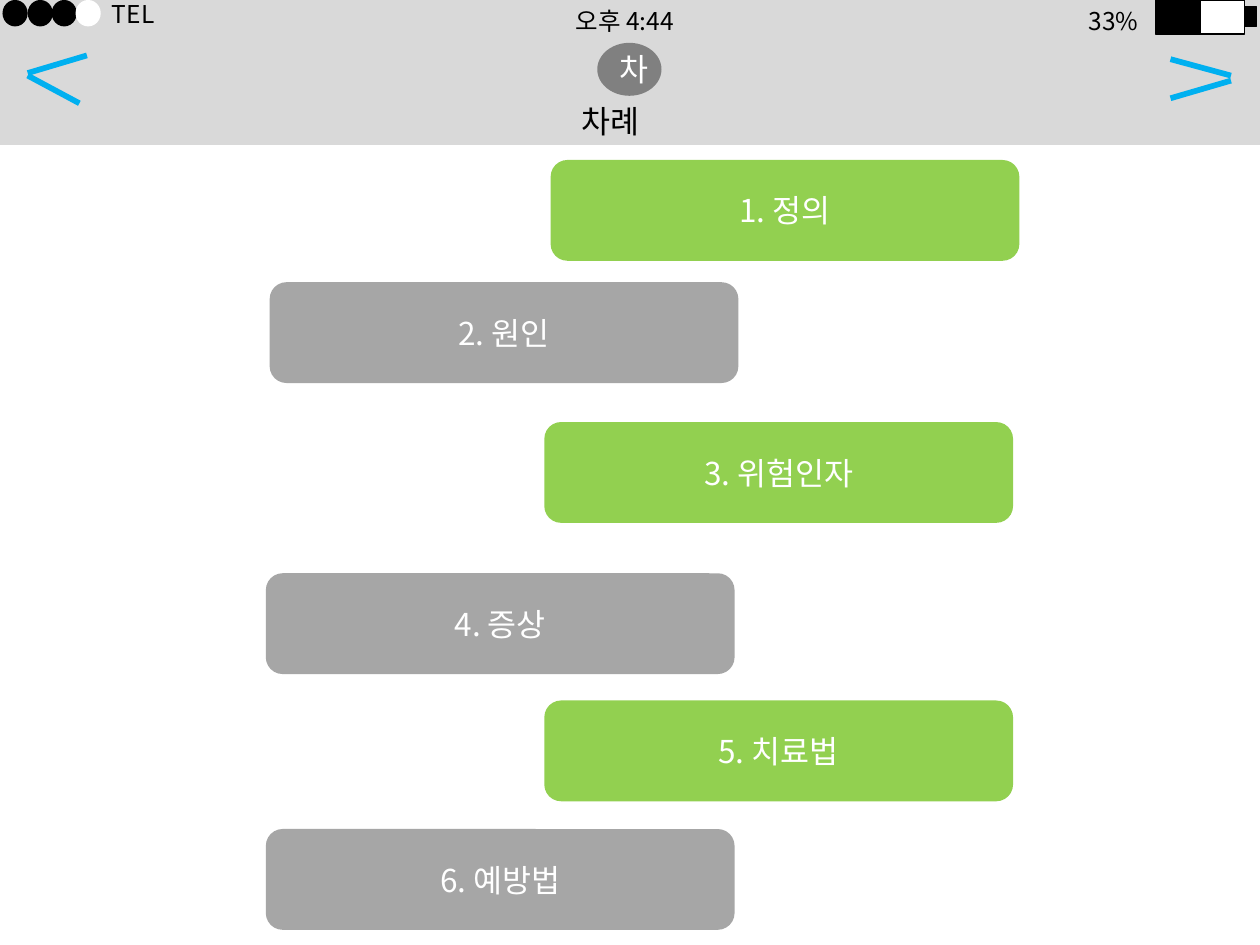
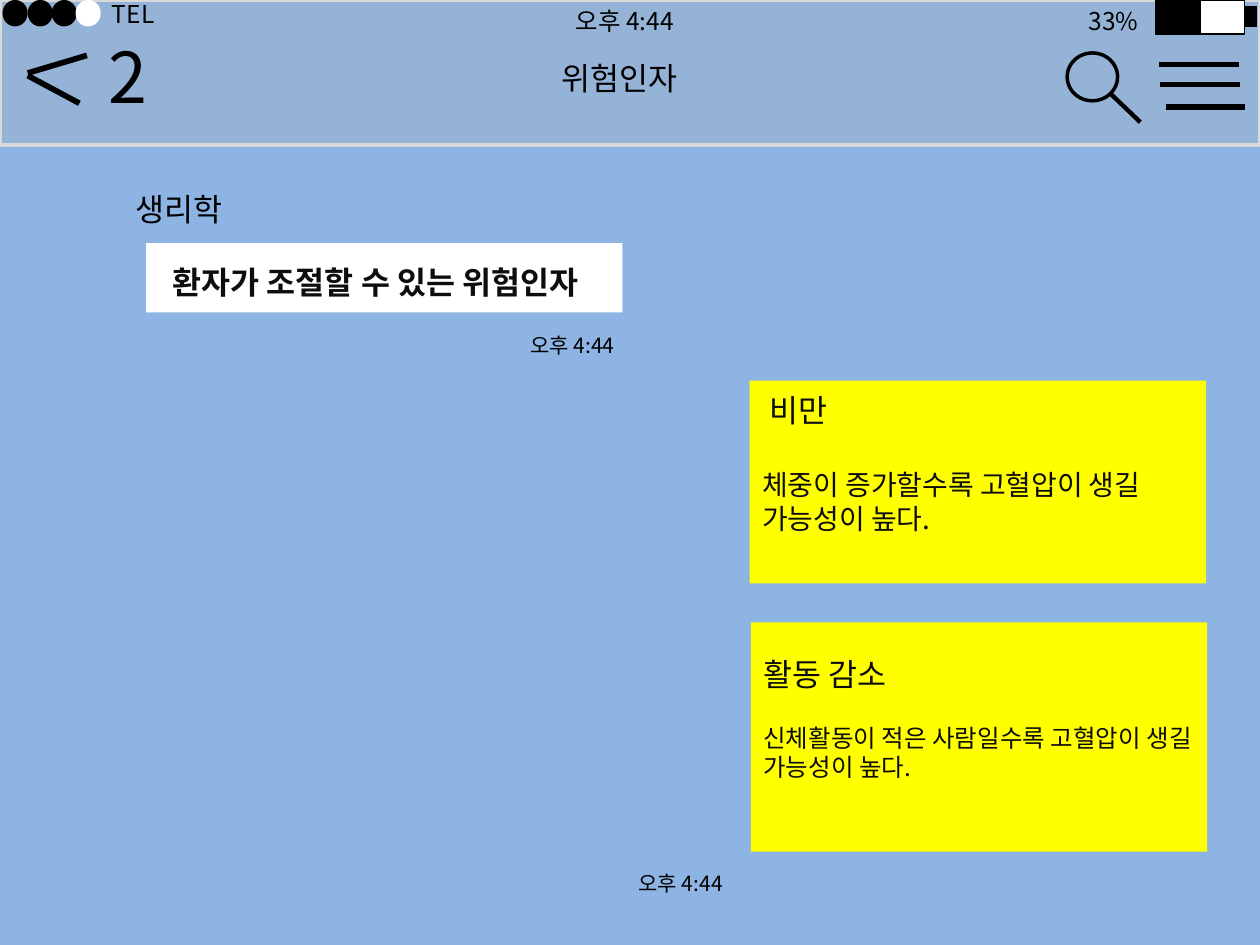
from dataclasses import dataclass

from lxml.etree import SubElement
from pptx import Presentation
from pptx.dml.color import RGBColor
from pptx.enum.shapes import MSO_CONNECTOR, MSO_SHAPE
from pptx.enum.text import MSO_ANCHOR, PP_ALIGN
from pptx.oxml.ns import qn
from pptx.util import Emu, Pt

EMU_PER_PX = 9144  # 100 px to the inch


@dataclass(frozen=True)
class Theme:
    font: str = "Noto Sans CJK KR"
    black: str = "000000"
    white: str = "FFFFFF"
    ink: str = "0D0D0D"
    light_gray: str = "D9D9D9"
    gray: str = "A6A6A6"
    dark_gray: str = "808080"
    green: str = "92D050"
    arrow_blue: str = "00B0F0"
    band_blue: str = "95B3D7"
    chat_blue: str = "8EB4E3"
    yellow: str = "FFFF00"
    time_size: int = 12
    status_size: int = 14
    note_size: int = 16
    body_size: int = 18
    count_size: int = 40


T = Theme()


def px(n):
    return Emu(n * EMU_PER_PX)


def rgb(color):
    return RGBColor.from_string(color)


def style(p, size, color, bold=False, align=PP_ALIGN.LEFT):
    """Format a paragraph and its runs, Hangul included."""
    p.alignment = align
    for r in p.runs:
        r.font.size = Pt(size)
        r.font.bold = bold
        r.font.color.rgb = rgb(color)
        r.font.name = T.font
        SubElement(r.font._element, qn("a:ea")).set("typeface", T.font)


def add_box(s, kind, left, top, width, height, fill, line=None, line_width=0.75):
    sp = s.shapes.add_shape(kind, px(left), px(top), px(width), px(height))
    sp.shadow.inherit = False
    sp.fill.solid()
    sp.fill.fore_color.rgb = rgb(fill)
    if line:
        sp.line.color.rgb = rgb(line)
        sp.line.width = Pt(line_width)
    else:
        sp.line.fill.background()
    return sp


def add_label_box(s, kind, left, top, width, height, fill, text):
    sp = add_box(s, kind, left, top, width, height, fill)
    tf = sp.text_frame
    tf.text = text
    tf.vertical_anchor = MSO_ANCHOR.MIDDLE
    style(tf.paragraphs[0], T.body_size, T.white, align=PP_ALIGN.CENTER)


def add_text(s, left, top, width, height, text, size, color=T.black, **options):
    tf = s.shapes.add_textbox(px(left), px(top), px(width), px(height)).text_frame
    tf.word_wrap = True
    tf.text = text
    style(tf.paragraphs[0], size, color, **options)


def add_line(s, x1, y1, x2, y2, color, width):
    line = s.shapes.add_connector(MSO_CONNECTOR.STRAIGHT, px(x1), px(y1), px(x2), px(y2))
    line.line.color.rgb = rgb(color)
    line.line.width = Pt(width)
    SubElement(line._element.spPr, qn("a:effectLst"))


def add_status_bar(s, band_fill, band_line=None):
    """Header band with signal dots, carrier, clock and battery."""
    add_box(s, MSO_SHAPE.RECTANGLE, 0, 0, 1000, 115, band_fill, band_line, 2)
    for left, fill in zip((2, 22, 41, 60), (T.black, T.black, T.black, T.white)):
        add_box(s, MSO_SHAPE.OVAL, left, 0, 20, 21, fill)
    add_text(s, 79, -6, 74, 34, "TEL", T.status_size)
    add_text(s, 447, 0, 140, 34, "오후 4:44", T.status_size)
    add_text(s, 854, 0, 102, 34, "33%", T.status_size)
    for left, top, width, height, fill in (
        (917, 0, 71, 27, T.white),
        (918, 0, 35, 27, T.black),
        (988, 5, 9, 16, T.black),
    ):
        add_box(s, MSO_SHAPE.RECTANGLE, left, top, width, height, fill, T.black)


def add_back_arrow(s, color):
    add_line(s, 22, 58, 69, 44, color, 3.25)
    add_line(s, 22, 60, 63, 82, color, 3.25)


def add_forward_arrow(s, color):
    add_line(s, 929, 47, 977, 60, color, 3.25)
    add_line(s, 929, 78, 977, 64, color, 3.25)


def add_search_icon(s):
    add_box(s, MSO_SHAPE.OVAL, 847, 42, 40, 38, T.band_blue, T.black, 2)
    add_line(s, 881, 74, 905, 97, T.black, 2.5)


def add_menu_icon(s):
    for left, y in ((920, 51), (921, 67), (925, 85)):
        add_line(s, left, y, left + 63, y, T.black, 3)


def add_reply(s, left, top, height, heading, note, note_size, gap, indent=0):
    """Yellow bubble: heading and note, with one line kept free below."""
    sp = add_box(s, MSO_SHAPE.RECTANGLE, left, top, 362, height, T.yellow)
    tf = sp.text_frame
    tf.vertical_anchor = MSO_ANCHOR.MIDDLE
    tf.margin_bottom = px(35)
    tf.text = heading
    head = tf.paragraphs[0]
    head.space_after = Pt(gap)
    style(head, T.body_size, T.ink)
    head._p.get_or_add_pPr().set("marL", str(px(indent)))
    p = tf.add_paragraph()
    p.text = note
    style(p, note_size, T.ink)


def add_slide(prs, background):
    s = prs.slides.add_slide(prs.slide_layouts[6])
    s.background.fill.solid()
    s.background.fill.fore_color.rgb = rgb(background)
    return s


def build_contents(prs):
    s = add_slide(prs, T.white)
    add_status_bar(s, T.light_gray)
    add_label_box(s, MSO_SHAPE.OVAL, 474, 34, 51, 42, T.dark_gray, "차")
    add_text(s, 452, 76, 160, 40, "차례", T.body_size)
    add_back_arrow(s, T.arrow_blue)
    add_forward_arrow(s, T.arrow_blue)
    topics = (
        ("정의", 437, 127),
        ("원인", 214, 224),
        ("위험인자", 432, 335),
        ("증상", 211, 455),
        ("치료법", 432, 556),
        ("예방법", 211, 658),
    )
    for number, (topic, left, top) in enumerate(topics, 1):
        fill = T.green if number % 2 else T.gray
        add_label_box(s, MSO_SHAPE.ROUNDED_RECTANGLE, left, top, 372, 80, fill,
                      f"{number}. {topic}")


def build_risk_factors(prs):
    s = add_slide(prs, T.chat_blue)
    add_status_bar(s, T.band_blue, T.light_gray)
    add_text(s, 436, 42, 180, 40, "위험인자", T.body_size)
    add_back_arrow(s, T.black)
    add_text(s, 76, 22, 50, 77, "2", T.count_size)
    add_search_icon(s)
    add_menu_icon(s)

    add_text(s, 98, 146, 102, 40, "생리학", T.body_size)
    add_box(s, MSO_SHAPE.RECTANGLE, 116, 193, 378, 55, T.white)
    add_text(s, 94, 204, 408, 40, "환자가 조절할 수 있는 위험인자", T.body_size, T.ink,
             bold=True, align=PP_ALIGN.CENTER)
    for left, top in ((411, 259), (497, 686)):
        add_text(s, left, top, 165, 30, "오후 4:44", T.time_size)

    add_reply(s, 595, 302, 161, "비만",
              "체중이 증가할수록 고혈압이 생길 가능성이 높다.", T.note_size, 22, indent=6)
    add_reply(s, 596, 494, 182, "활동 감소",
              "신체활동이 적은 사람일수록 고혈압이 생길 가능성이 높다.", T.status_size, 17)


def main():
    prs = Presentation()
    prs.slide_width, prs.slide_height = px(1000), px(750)
    build_contents(prs)
    build_risk_factors(prs)
    prs.save("out.pptx")


if __name__ == "__main__":
    main()
